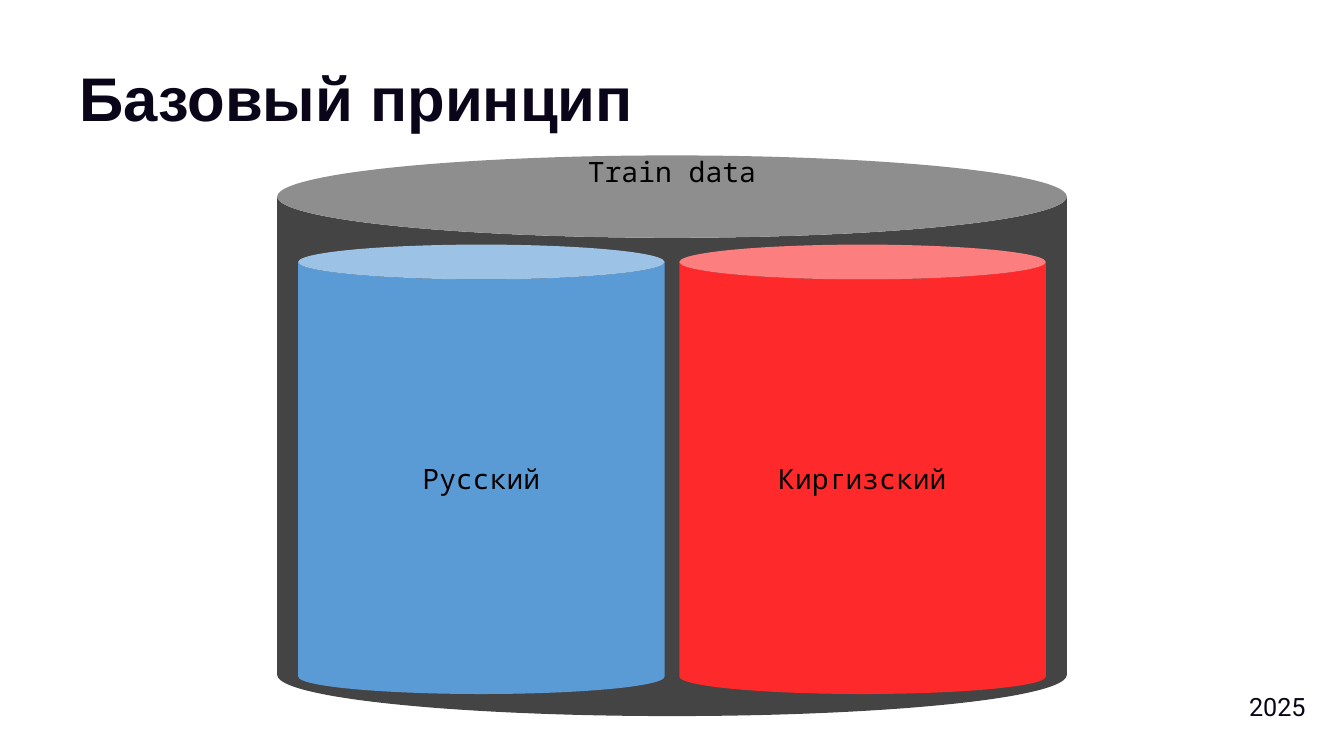
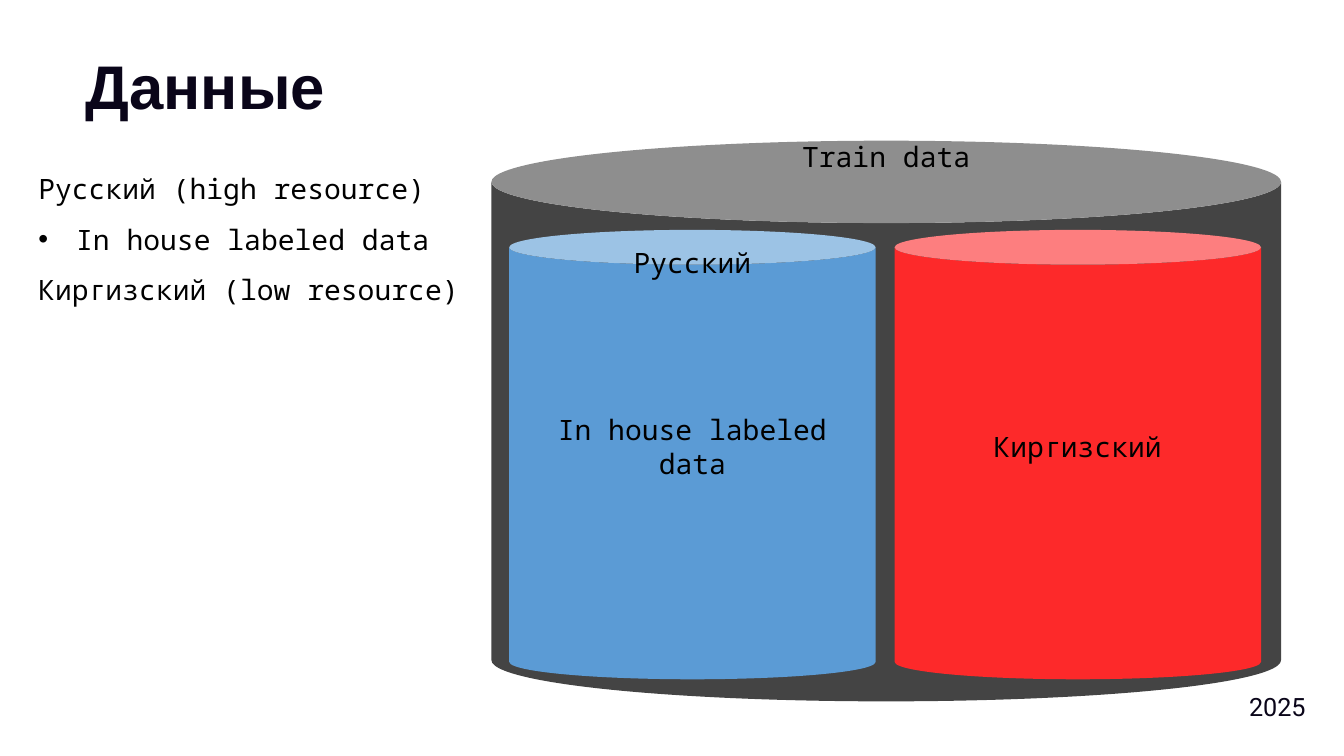
from pptx import Presentation
from pptx.dml.color import RGBColor
from pptx.enum.shapes import MSO_SHAPE as Shape
from pptx.enum.text import MSO_ANCHOR as Anchor, MSO_AUTO_SIZE as AutoSize, PP_ALIGN as Align
from pptx.oxml import parse_xml
from pptx.oxml.ns import nsdecls
from pptx.util import Pt

PX = 9525
COLORS = {"ink": "0A0519", "label": "000000", "store": "444444",
          "russian": "5B9BD5", "kyrgyz": "FD292A"}
STYLES = {"title": ("Arial", 44, "ink", True),
          "label": ("Noto Sans Mono", 20, "label", False),
          "year": ("Roboto", 18, "ink", False)}
STORE_WIDTH, STORE_HEIGHT = 752, 534
LANGUAGE_WIDTH, LANGUAGE_HEIGHT, LANGUAGE_DROP = 349, 428, 85
CAPTION_HEIGHT = 40
BULLET_INDENT = 36


def px(*lengths):
    """Turn pixel lengths into EMU."""
    return [length * PX for length in lengths]


def write(frame, lines, style, align=Align.LEFT, anchor=Anchor.TOP, spacing=None):
    """Fill a text frame with one paragraph per line in a named style."""
    name, size, color, bold = STYLES[style]
    frame.word_wrap = True
    frame.vertical_anchor = anchor
    frame.text = "\n".join(lines)
    for para in frame.paragraphs:
        para.alignment = align
        if spacing:
            para.line_spacing = spacing
        for span in para.runs:
            span.font.name = name
            span.font.size = Pt(size)
            span.font.bold = bold
            span.font.color.rgb = RGBColor.from_string(COLORS[color])


def add_text(page, area, lines, style, **layout):
    """Add a text box and return it."""
    box = page.shapes.add_textbox(*px(*area))
    write(box.text_frame, lines, style, **layout)
    return box


def add_can(page, area, color, rim, text="", lift=0):
    """Add a cylinder whose centred text can be lifted by a bottom inset."""
    can = page.shapes.add_shape(Shape.CAN, *px(*area))
    can.adjustments[0] = rim
    can.shadow.inherit = False
    can.fill.solid()
    can.fill.fore_color.rgb = RGBColor.from_string(COLORS[color])
    can.line.fill.background()
    if text:
        write(can.text_frame, [text], "label", align=Align.CENTER, anchor=Anchor.MIDDLE)
        can.text_frame.margin_bottom = (5 + lift) * PX


def add_caption(page, left, middle, width, text):
    """Add a one-line label centred on a height."""
    area = (left, middle - CAPTION_HEIGHT // 2, width, CAPTION_HEIGHT)
    add_text(page, area, [text], "label", align=Align.CENTER, anchor=Anchor.MIDDLE)


def add_train_data(page, left, top, inset, gap, contents, lift=0):
    """Draw the train data store with one cylinder per language inside."""
    add_can(page, (left, top, STORE_WIDTH, STORE_HEIGHT), "store", 0.147)
    add_caption(page, left, top + 15, STORE_WIDTH, "Train data")
    for index, (color, text, caption) in enumerate(contents):
        can_left = left + inset + index * (LANGUAGE_WIDTH + gap)
        can_top = top + LANGUAGE_DROP
        add_can(page, (can_left, can_top, LANGUAGE_WIDTH, LANGUAGE_HEIGHT),
                color, 0.095, text, lift)
        if caption:
            add_caption(page, can_left, can_top + 31, LANGUAGE_WIDTH, caption)


def add_bullet(para):
    """Give a paragraph a hanging round bullet."""
    properties = para._p.get_or_add_pPr()
    properties.set("marL", str(BULLET_INDENT * PX))
    properties.set("indent", str(-BULLET_INDENT * PX))
    properties.append(parse_xml(f'<a:buFont {nsdecls("a")} typeface="Arial"/>'))
    properties.append(parse_xml(f'<a:buChar {nsdecls("a")} char="•"/>'))


def add_resources(page, area):
    """List the data resources of each language."""
    lines = ["Русский (high resource)", "In house labeled data", "Киргизский (low resource)"]
    box = add_text(page, area, lines, "label", spacing=1.5)
    box.text_frame.auto_size = AutoSize.SHAPE_TO_FIT_TEXT
    add_bullet(box.text_frame.paragraphs[1])


def add_page(deck, title, title_area):
    """Add a blank slide with its title and the year."""
    page = deck.slides.add_slide(deck.slide_layouts[6])
    add_text(page, title_area, [title], "title", anchor=Anchor.MIDDLE, spacing=0.9)
    add_text(page, (1117, 654, 136, 36), ["2025"], "year", align=Align.RIGHT)
    return page


def build_principle(deck):
    """Build the slide on the basic principle."""
    page = add_page(deck, "Базовый принцип", (66, 27, 1077, 139))
    contents = [("russian", "Русский", ""), ("kyrgyz", "Киргизский", "")]
    add_train_data(page, 264, 148, 20, 14, contents)


def build_data(deck):
    """Build the slide on the data."""
    page = add_page(deck, "Данные", (72, 38, 1076, 94))
    contents = [("russian", "In house labeled data", "Русский"), ("kyrgyz", "Киргизский", "")]
    add_train_data(page, 468, 134, 17, 18, contents, lift=32)
    add_resources(page, (27, 143, 442, 151))


def main():
    """Build and save the deck."""
    deck = Presentation()
    deck.slide_width, deck.slide_height = px(1280, 720)
    build_principle(deck)
    build_data(deck)
    deck.save("out.pptx")


if __name__ == "__main__":
    main()
